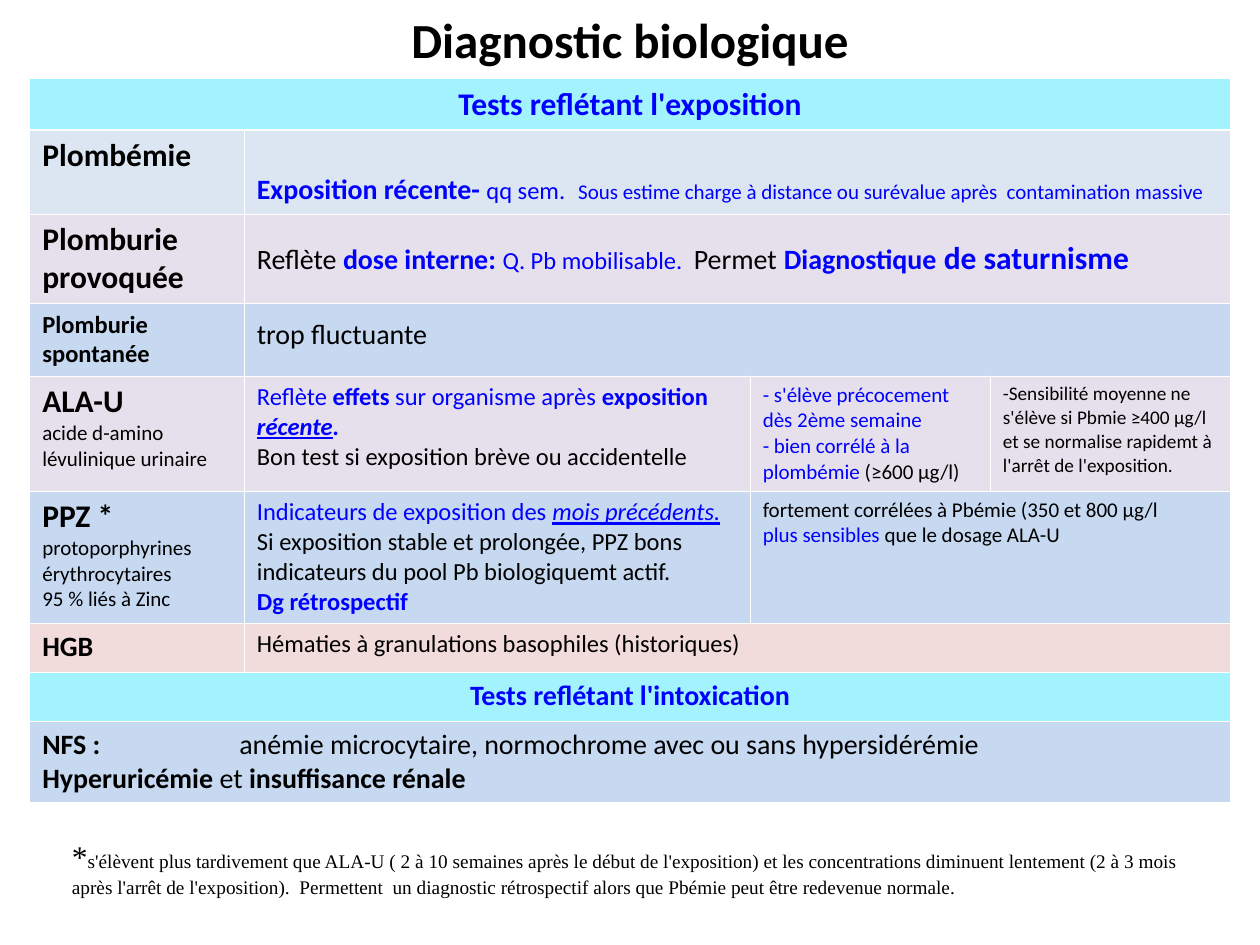
from lxml.etree import SubElement
from pptx import Presentation
from pptx.dml.color import RGBColor
from pptx.enum.text import MSO_ANCHOR as Anchor, MSO_AUTO_SIZE as AutoSize, PP_ALIGN as Align
from pptx.oxml.ns import qn
from pptx.util import Pt

BLACK = RGBColor(0x00, 0x00, 0x00)
BLUE = RGBColor(0x00, 0x00, 0xFF)
WHITE = RGBColor(0xFF, 0xFF, 0xFF)
CYAN = RGBColor(0xA2, 0xF3, 0xFE)
PALE_BLUE = RGBColor(0xDC, 0xE6, 0xF2)
SKY = RGBColor(0xC6, 0xD9, 0xF1)
LILAC = RGBColor(0xE6, 0xE0, 0xEC)
ROSE = RGBColor(0xF2, 0xDC, 0xDB)

PLAIN = {"color": BLACK, "bold": False, "italic": False, "underline": False}
BOLD = {**PLAIN, "bold": True}
BLUE_PLAIN = {**PLAIN, "color": BLUE}
BLUE_BOLD = {**BLUE_PLAIN, "bold": True}
BLUE_ITALIC = {**BLUE_PLAIN, "italic": True}
BLUE_STRESS = {**BLUE_ITALIC, "underline": True}
BLUE_STRONG = {**BLUE_STRESS, "bold": True}

COLUMN_WIDTHS = (122.6, 289.1, 137.2, 137.2)
SYMPTOM_TAB = 112.5

# Each row: height, fill, then cells of (column span, cell format, paragraphs of runs).
TESTS = [
    (29, CYAN, [(4, {}, [[("Tests reflétant l'exposition", 18, BLUE_BOLD)]])]),
    (48, PALE_BLUE, [
        (1, {}, [[("Plombémie", 18, BOLD)]]),
        (3, {"vertical_anchor": Anchor.BOTTOM}, [[
            ("Exposition récente- ", 16, BLUE_BOLD),
            ("qq sem. ", 14, BLUE_PLAIN),
            (" ", 18, BLUE_PLAIN),
            ("Sous estime charge à distance ou surévalue après  contamination massive",
             12, BLUE_PLAIN)]]),
    ]),
    (50.5, LILAC, [
        (1, {}, [[("Plomburie provoquée", 18, BOLD)]]),
        (3, {"vertical_anchor": Anchor.MIDDLE}, [[
            ("Reflète ", 16, PLAIN),
            ("dose interne: ", 16, BLUE_BOLD),
            ("Q. Pb mobilisable.  ", 14, BLUE_PLAIN),
            ("Permet", 16, PLAIN),
            (" ", 18, PLAIN),
            ("Diagnostique", 16, BLUE_BOLD),
            (" de saturnisme", 18, BLUE_BOLD)]]),
    ]),
    (41.5, SKY, [
        (1, {}, [[("Plomburie spontanée", 14, BOLD)]]),
        (3, {"margin_top": Pt(8.5)}, [[("trop fluctuante", 16, PLAIN)]]),
    ]),
    (65.5, LILAC, [
        (1, {}, [[("ALA-U", 18, BOLD)],
                 [("acide d-amino lévulinique urinaire", 12, PLAIN)]]),
        (1, {}, [[("Reflète ", 14, BLUE_PLAIN),
                  ("effets", 14, BLUE_BOLD),
                  (" sur organisme après ", 14, BLUE_PLAIN),
                  ("exposition ", 14, BLUE_BOLD),
                  ("récente", 14, BLUE_STRONG),
                  (".", 14, {**BLUE_BOLD, "italic": True})],
                 [("Bon test si exposition brève ou accidentelle", 14, PLAIN)]]),
        (1, {}, [[("- s'élève précocement dès 2ème semaine", 12, BLUE_PLAIN)],
                 [("- bien corrélé à la plombémie", 12, BLUE_PLAIN),
                  (" (≥600 µg/l)", 12, PLAIN)]]),
        (1, {}, [[("-Sensibilité moyenne ne s'élève si Pbmie ≥400 µg/l et se "
                   "normalise rapidemt à l'arrêt de l'exposition.", 11, PLAIN)]]),
    ]),
    (75.5, SKY, [
        (1, {}, [[("PPZ *", 18, BOLD), (" protoporphyrines érythrocytaires", 12, PLAIN)],
                 [("95 % liés à Zinc", 12, PLAIN)]]),
        (1, {}, [[("Indicateurs de exposition des ", 14, BLUE_PLAIN),
                  ("mois précédents. ", 14, BLUE_STRESS),
                  ("Si exposition stable et prolongée, PPZ bons indicateurs du pool "
                   "Pb biologiquemt actif.", 14, PLAIN)],
                 [("Dg rétrospectif", 14, BLUE_BOLD)]]),
        (2, {}, [[("fortement corrélées à Pbémie (350 et 800 µg/l", 12, PLAIN)],
                 [("plus sensibles ", 12, BLUE_PLAIN), ("que le dosage ALA-U", 12, PLAIN)]]),
    ]),
    (28, ROSE, [
        (1, {}, [[("HGB", 16, BOLD)]]),
        (3, {}, [[("Hématies à granulations basophiles (historiques)", 14, PLAIN)]]),
    ]),
    (28, CYAN, [(4, {}, [[("Tests reflétant l'intoxication", 16, BLUE_BOLD)]])]),
    (46, SKY, [
        (4, {}, [[("NFS :\t", 16, BOLD),
                  ("anémie microcytaire, normochrome avec ou sans hypersidérémie", 16, PLAIN)],
                 [("Hyperuricémie ", 16, BOLD), ("et ", 16, PLAIN),
                  ("insuffisance rénale", 16, BOLD)]]),
    ]),
]

FOOTNOTE = [[
    ("*", 18, PLAIN),
    ("s'élèvent plus tardivement que ALA-U ( 2 à 10 semaines après le début de l'exposition) "
     "et les concentrations diminuent lentement (2 à 3 mois après l'arrêt de l'exposition).  "
     "Permettent  un diagnostic rétrospectif alors que Pbémie peut être redevenue normale.",
     11, PLAIN)]]


def apply_format(target, values):
    """Set each attribute named in values on the target."""
    for attribute, value in values.items():
        setattr(target, attribute, value)


def add_tab_stop(paragraph, position):
    """Give the paragraph one left tab stop."""
    stops = SubElement(paragraph._p.get_or_add_pPr(), qn("a:tabLst"))
    SubElement(stops, qn("a:tab"), pos=str(Pt(position)), algn="l")


def write_text(frame, paragraphs, align=Align.LEFT, typeface="Calibri"):
    """Fill a text frame with paragraphs of formatted runs."""
    for index, pieces in enumerate(paragraphs):
        paragraph = frame.paragraphs[0] if index == 0 else frame.add_paragraph()
        paragraph.alignment = align
        if any("\t" in text for text, _, _ in pieces):
            add_tab_stop(paragraph, SYMPTOM_TAB)
        for text, size, style in pieces:
            run = paragraph.add_run()
            run.text = text
            values = {"name": typeface, "size": Pt(size), **style}
            run.font.color.rgb = values.pop("color")
            apply_format(run.font, values)


def draw_borders(cell, widths):
    """Draw white cell borders, with widths keyed by side in schema order."""
    properties = cell._tc.get_or_add_tcPr()
    for side, width in widths.items():
        line = SubElement(properties, qn(f"a:ln{side}"), w=str(Pt(width)))
        fill = SubElement(line, qn("a:solidFill"))
        SubElement(fill, qn("a:srgbClr"), val=str(WHITE))


def add_title(slide):
    """Place the slide title."""
    title = slide.shapes.title
    apply_format(title, {"left": Pt(36), "top": Pt(0), "width": Pt(648), "height": Pt(45)})
    apply_format(title.text_frame, {"vertical_anchor": Anchor.MIDDLE, "auto_size": AutoSize.NONE})
    write_text(title.text_frame, [[("Diagnostic biologique", 28, BOLD)]], Align.CENTER)


def add_tests_table(slide):
    """Build the table of biological tests."""
    table = slide.shapes.add_table(
        len(TESTS), len(COLUMN_WIDTHS), Pt(17), Pt(45),
        Pt(sum(COLUMN_WIDTHS)), Pt(sum(height for height, _, _ in TESTS))).table
    apply_format(table, {"first_row": False, "horz_banding": False})
    for column, width in zip(table.columns, COLUMN_WIDTHS):
        column.width = Pt(width)
    for row_index, (height, fill, tests) in enumerate(TESTS):
        table.rows[row_index].height = Pt(height)
        for cell in table.rows[row_index].cells:
            draw_borders(cell, {"L": 0.45, "R": 0.45,
                                "T": 1.47 if row_index == 1 else 0.45,
                                "B": 1.47 if row_index == 0 else 0.45})
            cell.fill.solid()
            cell.fill.fore_color.rgb = fill
        start = 0
        for span, cell_format, paragraphs in tests:
            cell = table.cell(row_index, start)
            if span > 1:
                cell.merge(table.cell(row_index, start + span - 1))
            apply_format(cell, cell_format)
            align = Align.CENTER if fill == CYAN else Align.LEFT
            write_text(cell.text_frame, paragraphs, align)
            start += span


def add_footnote(slide):
    """Add the note explaining the starred test."""
    note = slide.shapes.add_textbox(Pt(34), Pt(475), Pt(658), Pt(42.5)).text_frame
    apply_format(note, {"word_wrap": True, "auto_size": AutoSize.SHAPE_TO_FIT_TEXT})
    write_text(note, FOOTNOTE, typeface="Times New Roman")


def main():
    """Build and save the presentation."""
    presentation = Presentation()
    apply_format(presentation, {"slide_width": Pt(720), "slide_height": Pt(540)})
    slide = presentation.slides.add_slide(presentation.slide_layouts[5])
    add_title(slide)
    add_tests_table(slide)
    add_footnote(slide)
    presentation.save("out.pptx")


if __name__ == "__main__":
    main()
